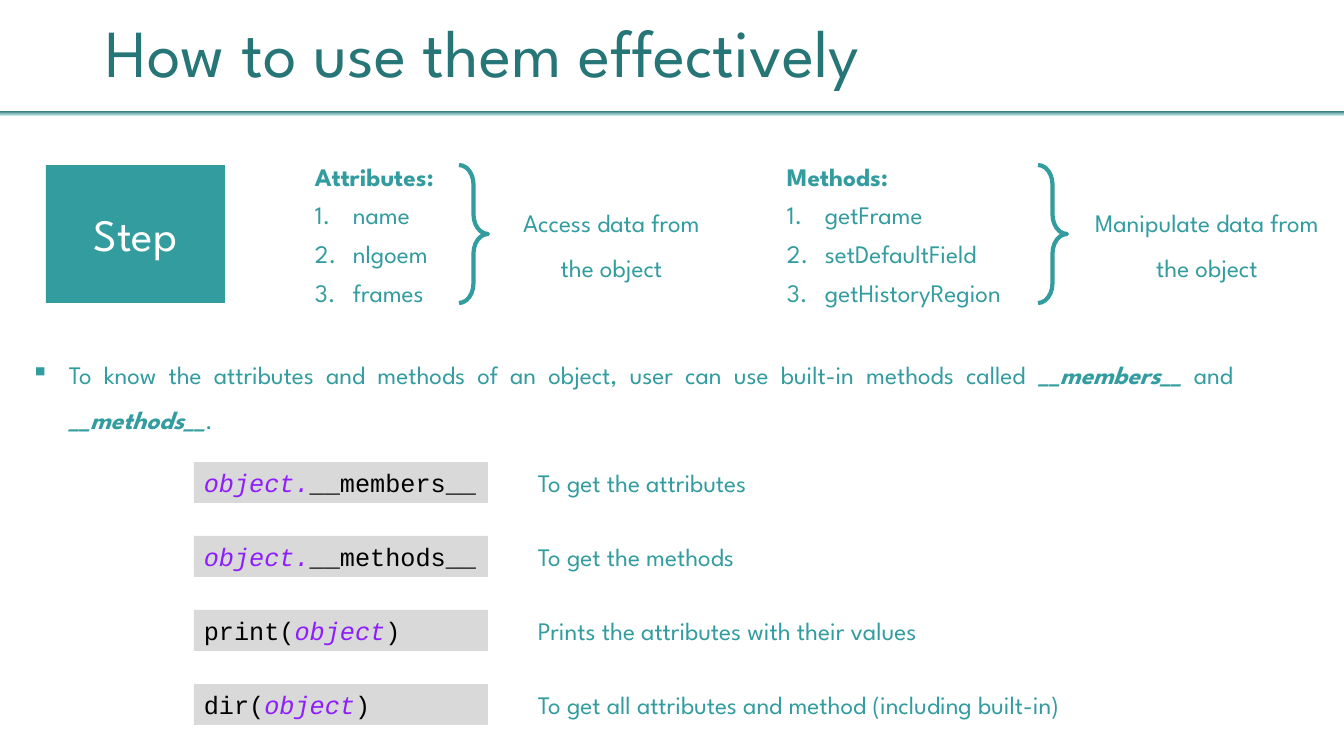
from dataclasses import dataclass

from lxml import etree
from pptx import Presentation
from pptx.dml.color import RGBColor
from pptx.enum.shapes import MSO_SHAPE
from pptx.enum.text import MSO_ANCHOR, PP_ALIGN
from pptx.oxml.ns import qn
from pptx.util import Emu, Pt

RECT, BRACE = MSO_SHAPE.RECTANGLE, MSO_SHAPE.RIGHT_BRACE
LEFT, CENTER, JUSTIFY = PP_ALIGN.LEFT, PP_ALIGN.CENTER, PP_ALIGN.JUSTIFY
TOP, MIDDLE, BOTTOM = MSO_ANCHOR.TOP, MSO_ANCHOR.MIDDLE, MSO_ANCHOR.BOTTOM
BULLET = ("a:buChar", {"char": "▪"})
NUMBER = ("a:buAutoNum", {"type": "arabicPeriod"})
BOLD, BOLD_ITALIC = {"bold": True}, {"bold": True, "italic": True}


@dataclass(frozen=True)
class Theme:
    """Colours, fonts and type sizes of the slide."""
    teal: str = "339C9F"
    dark: str = "267577"
    pale: str = "D2F0F0"
    grey: str = "D9D9D9"
    violet: str = "8E1DFF"
    black: str = "000000"
    white: str = "FFFFFF"
    sans: str = "League Spartan"
    mono: str = "Courier New"
    title: int = 48
    label: int = 32
    body: int = 18


def px(n):
    """Turn pixels into EMU."""
    return Emu(round(n * 914400 / 100.8))


def rgb(code):
    """Turn a hex code into a colour."""
    return RGBColor.from_string(code)


@dataclass
class Painter:
    """Draws styled elements on the current slide."""
    theme: Theme
    slide: object

    def shape(self, kind, x, y, w, h, fill=None):
        """Add a preset shape without outline or shadow."""
        sp = self.slide.shapes.add_shape(kind, px(x), px(y), px(w), px(h))
        sp.shadow.inherit = False
        sp.line.fill.background()
        if fill:
            sp.fill.solid()
            sp.fill.fore_color.rgb = rgb(fill)
        else:
            sp.fill.background()
        return sp

    def band(self, x, y, w, h):
        """Add the bar that fades downwards."""
        sp = self.shape(RECT, x, y, w, h)
        sp.fill.gradient()
        sp.fill.gradient_angle = 270
        for stop, color in zip(sp.fill.gradient_stops, (self.theme.dark, self.theme.pale)):
            stop.color.rgb = rgb(color)

    def brace(self, x, y, w, h):
        """Add a right brace."""
        sp = self.shape(BRACE, x, y, w, h)
        sp.adjustments[0] = 0.678
        sp.line.color.rgb = rgb(self.theme.teal)
        sp.line.width = Pt(3)

    def text(self, x, y, w, h, runs, **style):
        """Add a text box with one paragraph and return its frame."""
        tf = self.slide.shapes.add_textbox(px(x), px(y), px(w), px(h)).text_frame
        self.fill_frame(tf, runs, **style)
        return tf

    def box(self, x, y, w, h, fill, runs, **style):
        """Add a filled rectangle with text."""
        tf = self.shape(RECT, x, y, w, h, fill).text_frame
        tf.margin_right = 0 if style.get("anchor", TOP) == TOP else tf.margin_right
        self.fill_frame(tf, runs, **style)

    def fill_frame(self, tf, runs, anchor=TOP, **style):
        """Fill the first paragraph of a frame."""
        tf.word_wrap = True
        tf.vertical_anchor = anchor
        self.paragraph(tf.paragraphs[0], runs, **style)

    def paragraph(self, p, runs, align=LEFT, spacing=None, after=0, marker=None,
                  size=None, color=None, font=None):
        """Fill a paragraph with (text, font overrides) runs."""
        p.alignment, p.line_spacing, p.space_after = align, spacing, Pt(after)
        if marker:
            tag, attrs = marker
            pPr = p._p.get_or_add_pPr()
            pPr.set("marL", str(px(38)))
            pPr.set("indent", str(-px(38)))
            etree.SubElement(pPr, qn(tag), attrs)
        for words, look in runs:
            r = p.add_run()
            r.text = words
            r.font.name = font or self.theme.sans
            r.font.size = Pt(size or self.theme.body)
            r.font.bold = look.get("bold", False)
            r.font.italic = look.get("italic", False)
            r.font.color.rgb = rgb(look.get("color", color or self.theme.teal))

    def numbered(self, x, y, w, h, heading, items):
        """Add a bold heading with a numbered list."""
        tf = self.text(x, y, w, h, [(heading, BOLD)], after=6)
        for item in items:
            self.paragraph(tf.add_paragraph(), [(item, {})], after=6, marker=NUMBER)


theme = Theme()
prs = Presentation()
prs.slide_width, prs.slide_height = px(1344), px(756)
s = Painter(theme, prs.slides.add_slide(prs.slide_layouts[6]))

s.band(0, 111, 1344, 5)
s.text(96, 13, 1134, 84, [("How to use them effectively", {})], anchor=BOTTOM,
       spacing=0.9, after=6, size=theme.title, color=theme.dark)
s.box(46, 165, 179, 138, theme.teal, [("Step", {})], anchor=MIDDLE, align=CENTER,
      size=theme.label, color=theme.white)

# Each group: list left and width, heading, items, brace left, purpose left and width, purpose
groups = [
    (305, 153, "Attributes:", ["name", "nlgoem", "frames"],
     459, 503, 217, "Access data from the object"),
    (777, 266, "Methods:", ["getFrame", "setDefaultField", "getHistoryRegion"],
     1038, 1080, 254, "Manipulate data from the object"),
]
for x, w, heading, items, brace_x, purpose_x, purpose_w, purpose in groups:
    s.numbered(x, 156, w, 158, heading, items)
    s.brace(brace_x, 165, 29, 138)
    s.text(purpose_x, 187, purpose_w, 102, [(purpose, {})], align=CENTER, spacing=1.5)

s.text(21, 339, 1222, 102, [
    ("To know the attributes and methods of an object, user can use built-in methods called ", {}),
    ("__members__", BOLD_ITALIC), (" and ", {}), ("__methods__", BOLD_ITALIC), (".", {}),
], align=JUSTIFY, spacing=1.5, marker=BULLET)

variable = {"italic": True, "color": theme.violet}
commands = [
    ([("object.", variable), ("__members__", {})], "To get the attributes"),
    ([("object.", variable), ("__methods__", {})], "To get the methods"),
    ([("print(", {}), ("object", variable), (")", {})], "Prints the attributes with their values"),
    ([("dir(", {}), ("object", variable), (")", {})],
     "To get all attributes and method (including built-in)"),
]
for i, (code, meaning) in enumerate(commands):
    y = 462 + 74 * i
    s.box(194, y, 294, 41, theme.grey, code, font=theme.mono, color=theme.black)
    s.text(528, y, 644, 41, [(meaning, {})])

prs.save("out.pptx")
